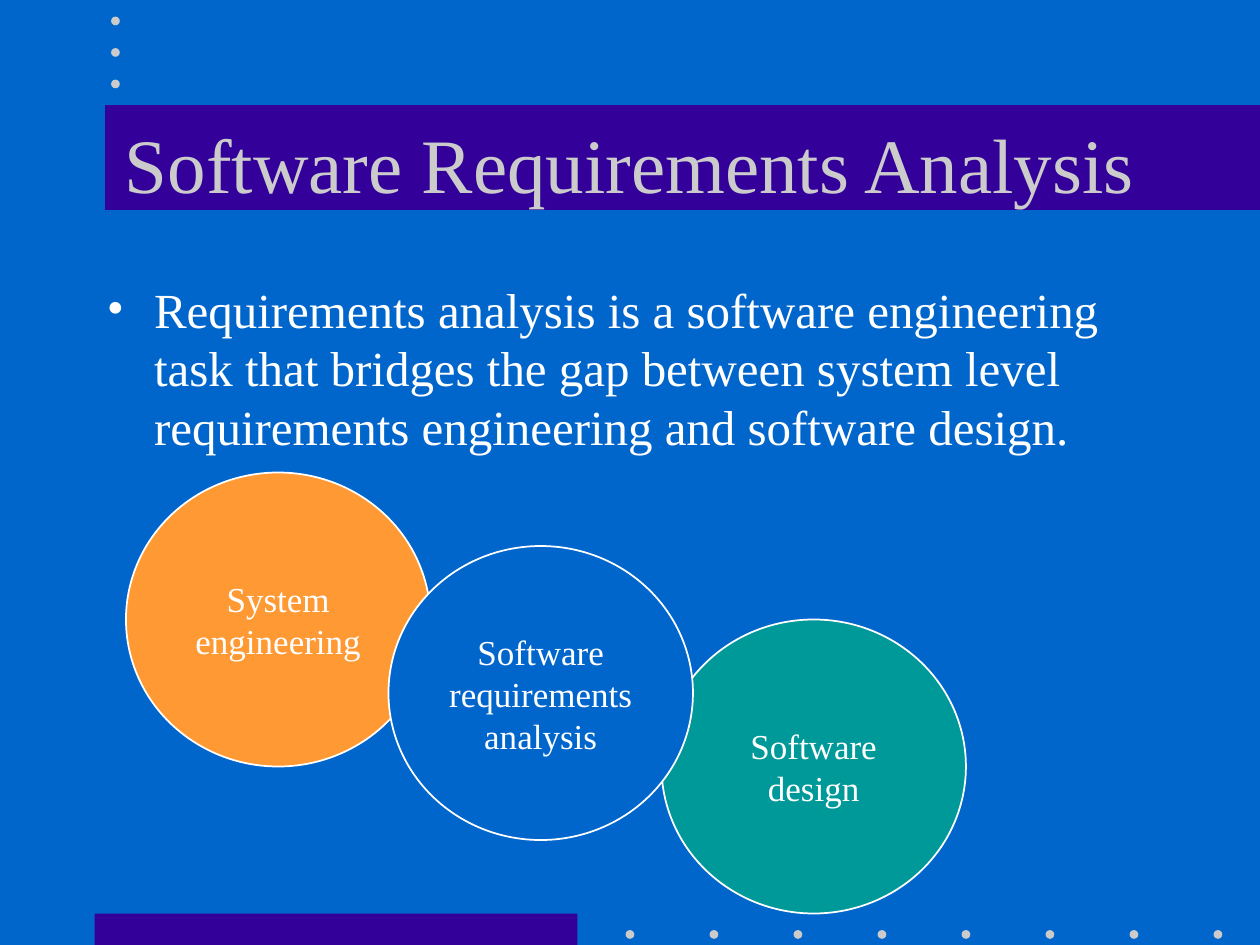
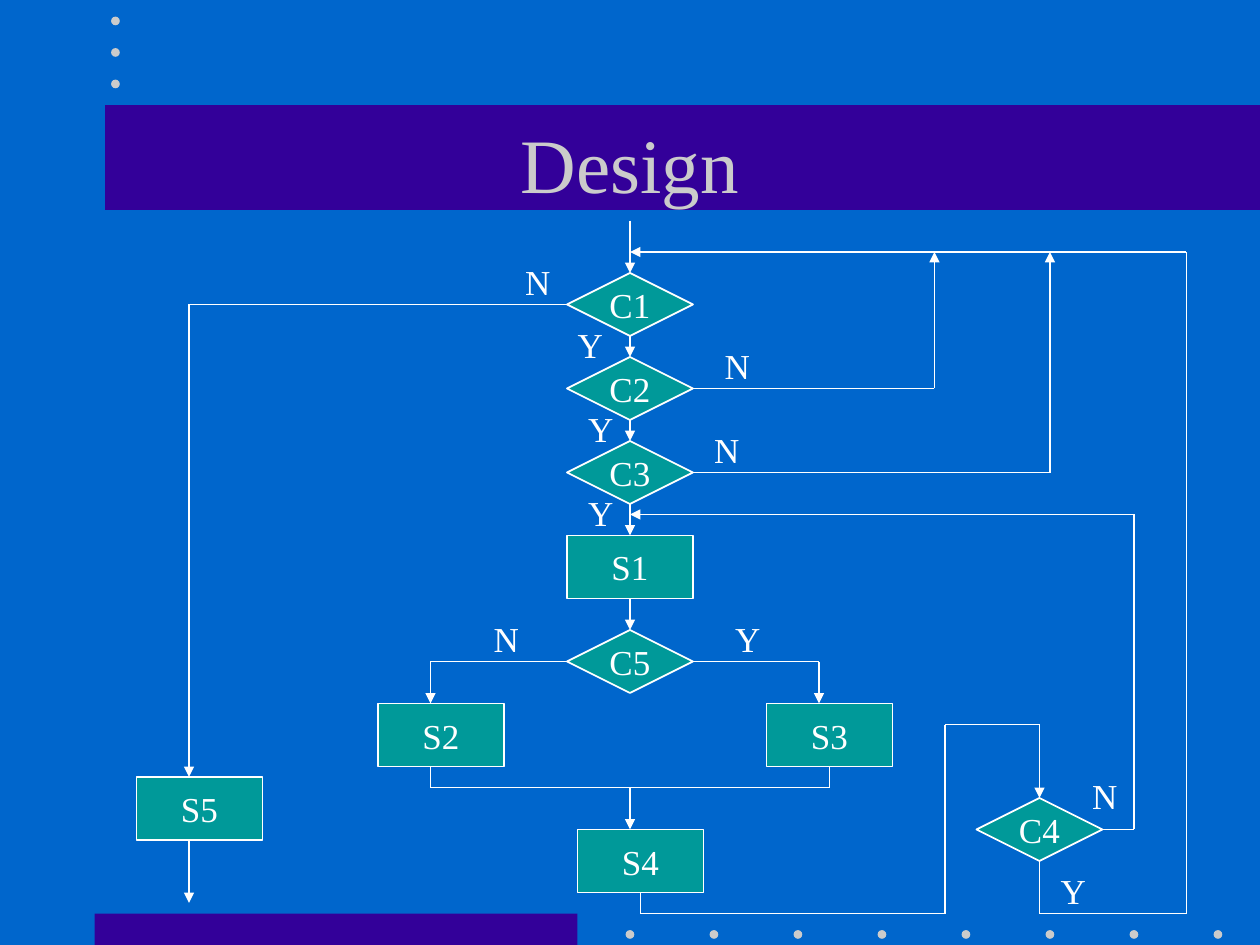
"""Build the requirements analysis and design flowchart slides."""
from dataclasses import dataclass
from itertools import pairwise

from lxml import etree
from pptx import Presentation
from pptx.dml.color import RGBColor
from pptx.enum.shapes import MSO_CONNECTOR, MSO_SHAPE
from pptx.enum.text import MSO_ANCHOR, PP_ALIGN
from pptx.oxml.ns import qn
from pptx.util import Pt

RECT, OVAL = MSO_SHAPE.RECTANGLE, MSO_SHAPE.OVAL
PROCESS, DECISION = MSO_SHAPE.FLOWCHART_PROCESS, MSO_SHAPE.FLOWCHART_DECISION
STRAIGHT = MSO_CONNECTOR.STRAIGHT
LEFT, CENTER = PP_ALIGN.LEFT, PP_ALIGN.CENTER
TOP_ANCHOR, MIDDLE = MSO_ANCHOR.TOP, MSO_ANCHOR.MIDDLE
TOP, LEFT_SIDE, BOTTOM, RIGHT_SIDE = range(4)


@dataclass(frozen=True)
class Theme:
    """Hold the colours, font and sizes of the deck."""
    font: str = "Times New Roman"
    background: str = "0066CC"
    band: str = "330099"
    muted: str = "CBCBCB"
    white: str = "FFFFFF"
    orange: str = "FF9933"
    teal: str = "009999"
    title_size: int = 44
    body_size: int = 28
    label_size: int = 20
    leading: float = 1.2
    line_width: int = 1


THEME = Theme()
SLIDE_SIZE = (720, 540)
TITLE_BOX = (54, 48, 612, 90)
BODY_BOX = (54, 156, 612, 324)
CIRCLES_BOX = (72, 270, 480, 252)
FLOW_BOX = (78, 126, 600, 396)

NODE_SIZE = (12, 6)
NODES = {
    "C1": (41, 5), "C2": (41, 13), "C3": (41, 21), "S1": (41, 30),
    "C5": (41, 39), "S2": (23, 46), "S3": (60, 46), "S4": (42, 58),
    "S5": (0, 53), "C4": (80, 55),
}
ARROW_ROUTES = [
    [(47, 0), ("C1", TOP)],
    [("C1", BOTTOM), ("C2", TOP)],
    [("C2", BOTTOM), ("C3", TOP)],
    [("C3", BOTTOM), ("S1", TOP)],
    [("S1", BOTTOM), ("C5", TOP)],
    [("C1", LEFT_SIDE), (5, 8), (5, 53)],
    [(5, 59), (5, 65)],
    [("C2", RIGHT_SIDE), (76, 16), (76, 3)],
    [("C3", RIGHT_SIDE), (87, 24), (87, 3)],
    [("C5", LEFT_SIDE), (28, 42), (28, 46)],
    [("C5", RIGHT_SIDE), (65, 42), (65, 46)],
    [(47, 54), (47, 58)],
    [("S4", BOTTOM), (48, 66), (77, 66), (77, 48), (86, 48), ("C4", TOP)],
    [("C4", RIGHT_SIDE), (95, 58), (95, 28), (47, 28)],
    [("C4", BOTTOM), (86, 66), (100, 66), (100, 3), (47, 3)],
]
MERGE_ROUTE = [(28, 52), (28, 54), (66, 54), ("S3", BOTTOM)]
BRANCH_LABELS = {
    "N": [(35, 3), (54, 11), (53, 19), (32, 37), (89, 52)],
    "Y": [(40, 9), (41, 17), (41, 25), (55, 37), (86, 61)],
}


def points(values):
    """Convert numbers to point lengths."""
    return [Pt(v) for v in values]


def write(sp, lines, size, color=THEME.white, align=CENTER,
          anchor=MIDDLE, wrap=False):
    """Write one paragraph per line and return the paragraphs."""
    tf = sp.text_frame
    tf.word_wrap, tf.vertical_anchor = wrap, anchor
    tf.text = "\n".join(lines)
    formats = {"name": THEME.font, "size": Pt(size)}
    for p in tf.paragraphs:
        p.alignment = align
        p.line_spacing = Pt(size * THEME.leading)
        for r in p.runs:
            for name, value in formats.items():
                setattr(r.font, name, value)
            r.font.color.rgb = RGBColor.from_string(color)
    return tf.paragraphs


def add_filled(s, kind, box, fill, line=None):
    """Add a preset shape with a flat fill and an optional outline."""
    sp = s.shapes.add_shape(kind, *points(box))
    sp.shadow.inherit = False
    sp.fill.solid()
    sp.fill.fore_color.rgb = RGBColor.from_string(fill)
    if line:
        sp.line.color.rgb = RGBColor.from_string(line)
        sp.line.width = Pt(THEME.line_width)
    else:
        sp.line.fill.background()
    return sp


def add_text(s, box, lines, size, **options):
    """Add a text box and return its paragraphs."""
    return write(s.shapes.add_textbox(*points(box)), lines, size, **options)


def add_dots(s, start, step, count, diameter=5):
    """Add a row or column of dots by their centres."""
    for i in range(count):
        x, y = (a + i * b - diameter / 2 for a, b in zip(start, step))
        add_filled(s, OVAL, (x, y, diameter, diameter), THEME.muted)


def add_base(prs, title):
    """Add a slide with the shared bands, dots and title."""
    s = prs.slides.add_slide(prs.slide_layouts[6])
    s.background.fill.solid()
    s.background.fill.fore_color.rgb = RGBColor.from_string(THEME.background)
    for band in ((54, 522, 276, 18), (60, 60, 660, 60)):
        add_filled(s, RECT, band, THEME.band)
    add_dots(s, (360, 534), (48, 0), 8)
    add_dots(s, (66, 12), (0, 18), 3)
    add_text(s, TITLE_BOX, [title], THEME.title_size,
             color=THEME.muted, wrap=True)
    return s


def add_bullet(s, box, text):
    """Add a bulleted paragraph with a hanging indent."""
    p = add_text(s, box, [text], THEME.body_size, align=LEFT,
                 anchor=TOP_ANCHOR, wrap=True)[0]
    pPr = p._p.get_or_add_pPr()
    indent = Pt(27)
    pPr.set("marL", str(indent))
    pPr.set("indent", str(-indent))
    etree.SubElement(pPr, qn("a:buFont"), typeface=THEME.font)
    etree.SubElement(pPr, qn("a:buChar"), char="•")


def add_circles(s, box):
    """Add the three overlapping activity circles."""
    left, top, _, _ = box
    circles = [
        (0, 0, THEME.orange, ["System", "engineering"]),
        (306, 84, THEME.teal, ["Software", "design"]),
        (150, 42, THEME.background, ["Software", "requirements", "analysis"]),
    ]
    for dx, dy, fill, lines in circles:
        sp = add_filled(s, OVAL, (left + dx, top + dy, 174, 168), fill,
                        THEME.white)
        write(sp, lines, THEME.label_size)


def add_line(s, start, end, arrow):
    """Add a straight connector with an optional arrowhead."""
    cxn = s.shapes.add_connector(STRAIGHT, *points((*start, *end)))
    cxn.line.color.rgb = RGBColor.from_string(THEME.white)
    cxn.line.width = Pt(THEME.line_width)
    if arrow:
        etree.SubElement(cxn.line._get_or_add_ln(), qn("a:tailEnd"),
                         type="triangle")
    etree.SubElement(cxn._element.spPr, qn("a:effectLst"))
    return cxn


def add_flowchart(s, box):
    """Add nodes, routes and branch labels on a grid across the box."""
    left, top, width, _ = box
    unit = width / 100
    node_w, node_h = NODE_SIZE
    sites = [(node_w / 2, 0), (0, node_h / 2),
             (node_w / 2, node_h), (node_w, node_h / 2)]

    def place(x, y):
        """Turn grid coordinates into slide coordinates."""
        return left + x * unit, top + y * unit

    def locate(stop):
        """Find a grid point or the connection site of a node."""
        if stop[0] not in NODES:
            return place(*stop)
        name, site = stop
        return place(*(a + b for a, b in zip(NODES[name], sites[site])))

    shapes = {}
    for name, corner in NODES.items():
        kind = DECISION if name.startswith("C") else PROCESS
        frame = (*place(*corner), node_w * unit, node_h * unit)
        shapes[name] = add_filled(s, kind, frame, THEME.teal, THEME.white)
        write(shapes[name], [name], THEME.label_size)

    for route in [*ARROW_ROUTES, MERGE_ROUTE]:
        legs = list(pairwise(route))
        for i, (start, end) in enumerate(legs, 1):
            arrow = i == len(legs) and route is not MERGE_ROUTE
            cxn = add_line(s, locate(start), locate(end), arrow)
            for stop, join in ((start, cxn.begin_connect),
                               (end, cxn.end_connect)):
                if stop[0] in shapes:
                    join(shapes[stop[0]], stop[1])

    for text, corners in BRANCH_LABELS.items():
        for corner in corners:
            x, y = place(*corner)
            add_text(s, (x + 5, y + 1.2, 28.8, 31.2), [text],
                     THEME.label_size, align=LEFT, anchor=TOP_ANCHOR)


def main():
    """Build and save the deck."""
    prs = Presentation()
    prs.slide_width, prs.slide_height = points(SLIDE_SIZE)
    s = add_base(prs, "Software Requirements Analysis")
    add_bullet(s, BODY_BOX,
               "Requirements analysis is a software engineering task that "
               "bridges the gap between system level requirements "
               "engineering and software design.")
    add_circles(s, CIRCLES_BOX)
    add_flowchart(add_base(prs, "Design"), FLOW_BOX)
    prs.save("out.pptx")


if __name__ == "__main__":
    main()
